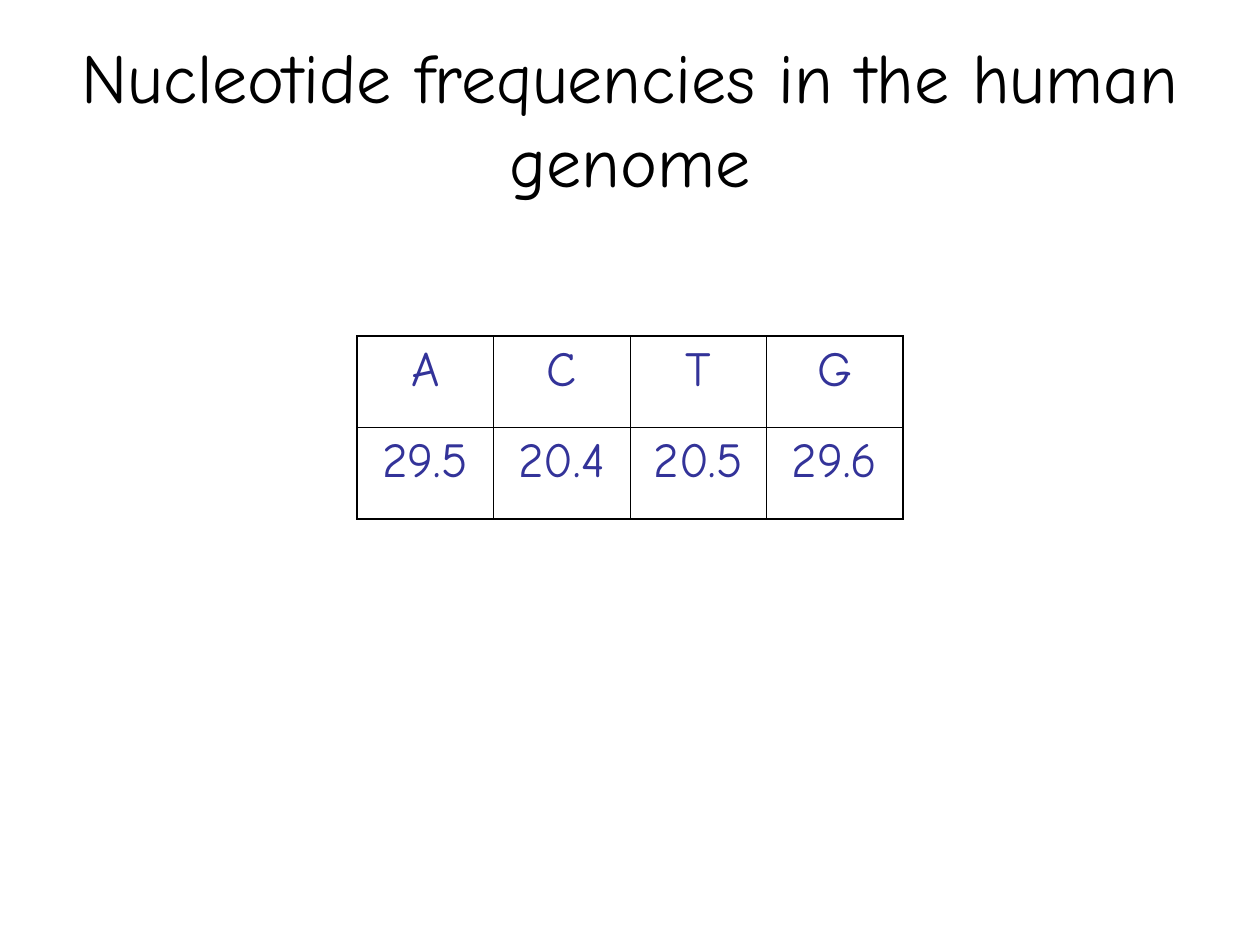
"""Build a slide with a table of nucleotide frequencies in the human genome."""
from dataclasses import dataclass

from lxml import etree
from pptx import Presentation
from pptx.dml.color import RGBColor
from pptx.enum.text import MSO_ANCHOR, PP_ALIGN
from pptx.oxml.ns import qn
from pptx.util import Emu, Pt

CENTER = PP_ALIGN.CENTER
MIDDLE = MSO_ANCHOR.MIDDLE
PX = 914400 / 126

TITLE = "Nucleotide frequencies in the human genome"
FREQUENCIES = [("A", "29.5"), ("C", "20.4"), ("T", "20.5"), ("G", "29.6")]

SLIDE_SIZE = (1260, 945)
TITLE_BOX = (63, 38, 1134, 158)
TABLE_BOX = (357, 336, 546, 183)


@dataclass(frozen=True)
class Theme:
    font: str = "Comic Neue"
    title_color: str = "000000"
    cell_color: str = "333399"
    border_color: str = "000000"
    title_size: int = 40
    cell_size: int = 28
    cell_space: int = 7
    outer_line: float = 1.08
    inner_line: float = 0.45


THEME = Theme()


def px(length):
    return Emu(round(length * PX))


def write(frame, text, size, color):
    paragraph = frame.paragraphs[0]
    paragraph.text = text
    paragraph.alignment = CENTER
    paragraph.font.name = THEME.font
    paragraph.font.size = Pt(size)
    paragraph.font.color.rgb = RGBColor.from_string(color)
    return paragraph


def add_border(cell, side, width):
    properties = cell._tc.get_or_add_tcPr()
    line = etree.SubElement(properties, qn(f"a:ln{side}"), w=str(Pt(width)))
    fill = etree.SubElement(line, qn("a:solidFill"))
    etree.SubElement(fill, qn("a:srgbClr"), val=THEME.border_color)


def add_title(slide):
    box = slide.shapes.add_textbox(*map(px, TITLE_BOX))
    box.text_frame.word_wrap = True
    box.text_frame.vertical_anchor = MIDDLE
    write(box.text_frame, TITLE, THEME.title_size, THEME.title_color)


def add_frequencies(slide):
    rows = list(zip(*FREQUENCIES))
    last_row, last_column = len(rows) - 1, len(FREQUENCIES) - 1
    table = slide.shapes.add_table(
        len(rows), len(FREQUENCIES), *map(px, TABLE_BOX)).table
    table.first_row = False
    table.horz_banding = False
    for r, values in enumerate(rows):
        for c, value in enumerate(values):
            cell = table.cell(r, c)
            paragraph = write(
                cell.text_frame, value, THEME.cell_size, THEME.cell_color)
            paragraph.space_before = Pt(THEME.cell_space)
            outer_sides = {
                "L": c == 0, "R": c == last_column,
                "T": r == 0, "B": r == last_row,
            }
            for side, outer in outer_sides.items():
                add_border(
                    cell, side, THEME.outer_line if outer else THEME.inner_line)
            cell.fill.background()


def main():
    deck = Presentation()
    deck.slide_width, deck.slide_height = map(px, SLIDE_SIZE)
    slide = deck.slides.add_slide(deck.slide_layouts[6])
    add_title(slide)
    add_frequencies(slide)
    deck.save("out.pptx")


if __name__ == "__main__":
    main()
